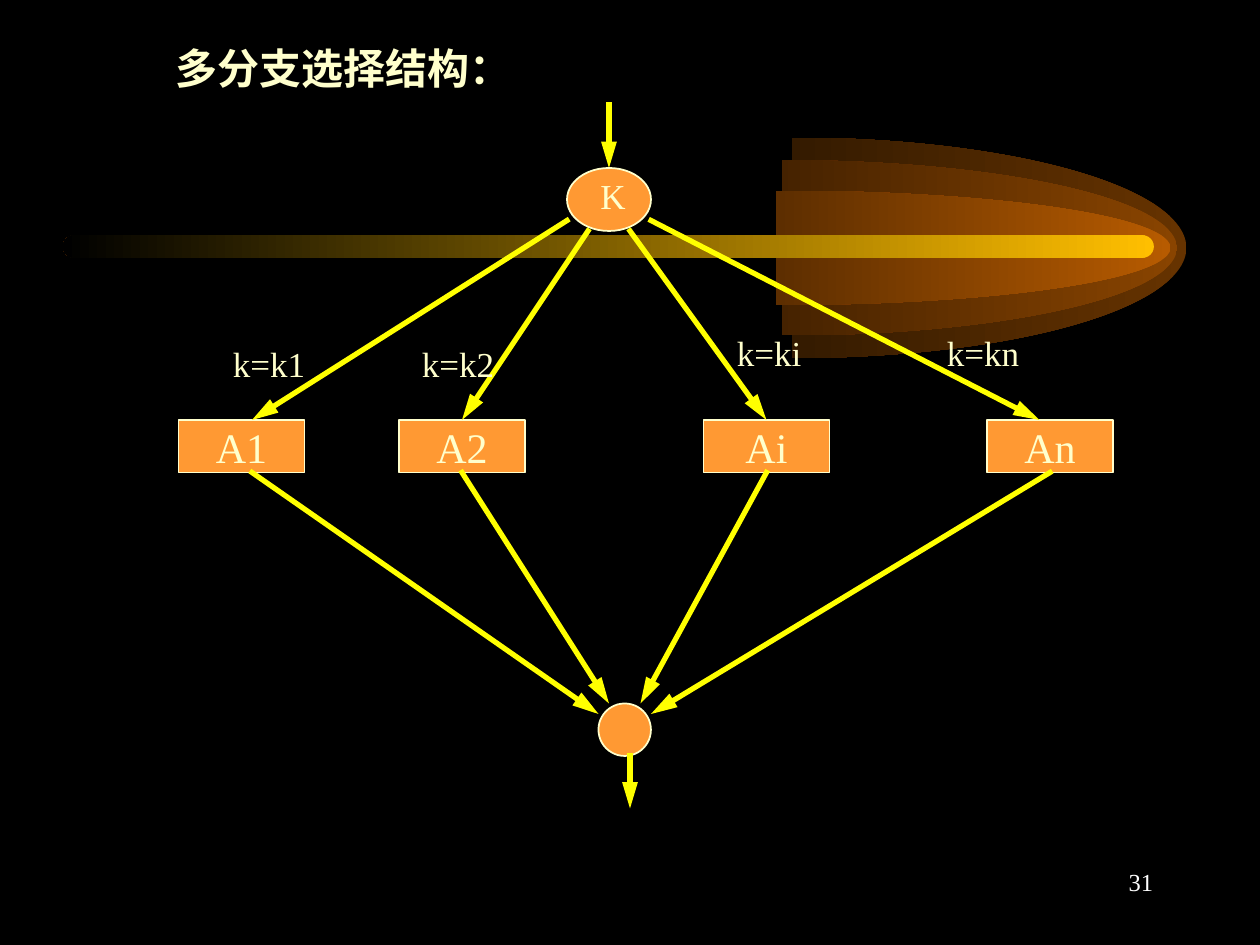
"""Build the multi-way selection flowchart on a 120 by 90 grid."""
from dataclasses import dataclass

import pptx
import pptx.dml.color
import pptx.enum.shapes
import pptx.enum.text
import pptx.oxml
import pptx.oxml.ns
import pptx.util

RGBColor = pptx.dml.color.RGBColor
BLACK = RGBColor(0x00, 0x00, 0x00)
WHITE = RGBColor(0xFF, 0xFF, 0xFF)
CREAM = RGBColor(0xFF, 0xFF, 0xCC)
ORANGE = RGBColor(0xFF, 0x99, 0x33)
YELLOW = RGBColor(0xFF, 0xFF, 0x00)
GOLD = RGBColor(0xFF, 0xBF, 0x00)

FONT = "Times New Roman"
PRESET = pptx.enum.shapes.MSO_SHAPE
ALIGN = pptx.enum.text.PP_ALIGN
CELL = pptx.util.Inches(10) / 120
GLOW_AXIS, GLOW_WIDTH = 23.6, 75.1
ARC_TOP, ARC_BOTTOM = 162, 54
BOX_ROW, BOX_COLUMNS, BOX_ROWS = 40, 12, 5


@dataclass(frozen=True)
class Glow:
    left: float
    radius: float
    bright: RGBColor


@dataclass(frozen=True)
class Branch:
    action: str
    box_column: float
    condition: str
    condition_at: tuple[float, float]
    leaves_k: tuple[float, float]
    enters_box: float
    leaves_box: float
    enters_join: tuple[float, float]


GLOWS = [
    Glow(37.9, 10.5, RGBColor(0x66, 0x33, 0x00)),
    Glow(37, 8.35, RGBColor(0x89, 0x44, 0x00)),
    Glow(36.4, 5.45, RGBColor(0xB7, 0x5B, 0x00)),
]
BRANCHES = [
    Branch("A1", 17, "k=k1", (21, 32), (54, 21), 24, 24, (57, 68)),
    Branch("A2", 38, "k=k2", (39, 32), (56, 22), 44, 44, (58, 67)),
    Branch("Ai", 67, "k=ki", (69, 31), (60, 22), 73, 73, (61, 67)),
    Branch("An", 94, "k=kn", (89, 31), (62, 21), 99, 100, (62, 68)),
]


def grid(*cells: float) -> list[int]:
    return [pptx.util.Emu(round(cell * CELL)) for cell in cells]


def draw_fading(slide, preset, place: tuple, bright: RGBColor, *adjustments: float) -> None:
    shape = slide.shapes.add_shape(preset, *grid(*place))
    for index, value in enumerate(adjustments):
        shape.adjustments[index] = value
    shape.shadow.inherit = False
    shape.line.fill.background()
    shape.fill.gradient()
    shape.fill.gradient_angle = 180
    for stop, colour in zip(shape.fill.gradient_stops, (bright, BLACK)):
        stop.color.rgb = colour


def write(frame, text: str, size: float, colour: RGBColor, align, bold: bool = False) -> None:
    frame.text = text
    paragraph = frame.paragraphs[0]
    paragraph.alignment = align
    font = paragraph.runs[0].font
    font.name, font.size, font.bold = FONT, pptx.util.Pt(size), bold
    font.color.rgb = colour


def draw_text(slide, text: str, place: tuple, size: float, colour: RGBColor = CREAM,
              align=ALIGN.LEFT, bold: bool = False) -> None:
    frame = slide.shapes.add_textbox(*grid(*place)).text_frame
    frame.word_wrap = True
    write(frame, text, size, colour, align, bold)


def draw_node(slide, preset, place: tuple, text: str = "") -> None:
    node = slide.shapes.add_shape(preset, *grid(*place))
    node.shadow.inherit = False
    node.fill.solid()
    node.fill.fore_color.rgb = ORANGE
    node.line.color.rgb = CREAM
    node.line.width = pptx.util.Pt(1)
    if text:
        node.text_frame.word_wrap = False
        node.text_frame.vertical_anchor = pptx.enum.text.MSO_ANCHOR.MIDDLE
        write(node.text_frame, text, 24, CREAM, ALIGN.CENTER)


def draw_arrow(slide, start: tuple, end: tuple) -> None:
    arrow = slide.shapes.add_connector(
        pptx.enum.shapes.MSO_CONNECTOR.STRAIGHT, *grid(*start, *end))
    arrow.line.color.rgb = YELLOW
    arrow.line.width = pptx.util.Pt(3)
    namespace = pptx.oxml.ns.nsdecls("a")
    stroke = arrow.line._get_or_add_ln()
    stroke.set("cap", "sq")
    stroke.append(pptx.oxml.parse_xml(
        f'<a:tailEnd {namespace} type="triangle" w="med" len="lg"/>'))
    arrow._element.spPr.append(pptx.oxml.parse_xml(f"<a:effectLst {namespace}/>"))


def main() -> None:
    deck = pptx.Presentation()
    deck.slide_width, deck.slide_height = grid(120, 90)
    slide = deck.slides.add_slide(deck.slide_layouts[6])
    slide.background.fill.solid()
    slide.background.fill.fore_color.rgb = BLACK

    for glow in GLOWS:
        place = (glow.left, GLOW_AXIS - glow.radius, GLOW_WIDTH, 2 * glow.radius)
        draw_fading(slide, PRESET.ARC, place, glow.bright, ARC_TOP, ARC_BOTTOM)
    draw_fading(slide, PRESET.ROUNDED_RECTANGLE, (6, 22.4, 103.9, 2.16), GOLD, 0.5)
    draw_text(slide, "多分支选择结构：", (15.55, 3.45, 41.6, 6), 24, bold=True)

    draw_arrow(slide, (58, 10), (58, 16))
    for branch in BRANCHES:
        draw_node(slide, PRESET.RECTANGLE,
                  (branch.box_column, BOX_ROW, BOX_COLUMNS, BOX_ROWS), branch.action)
    draw_node(slide, PRESET.OVAL, (54, 16, 8, 6))
    draw_node(slide, PRESET.OVAL, (57, 67, 5, 5))
    for branch in BRANCHES:
        draw_arrow(slide, branch.leaves_k, (branch.enters_box, BOX_ROW))
        draw_arrow(slide, (branch.leaves_box, BOX_ROW + BOX_ROWS), branch.enters_join)
    draw_text(slide, "K", (56, 16, 4, 5.25), 20)
    draw_arrow(slide, (60, 72), (60, 77))
    for branch in BRANCHES:
        draw_text(slide, branch.condition, (*branch.condition_at, 11, 5.25), 20)

    draw_text(slide, "31", (86, 82, 25, 6), 14, WHITE, ALIGN.RIGHT)
    deck.save("out.pptx")


if __name__ == "__main__":
    main()
